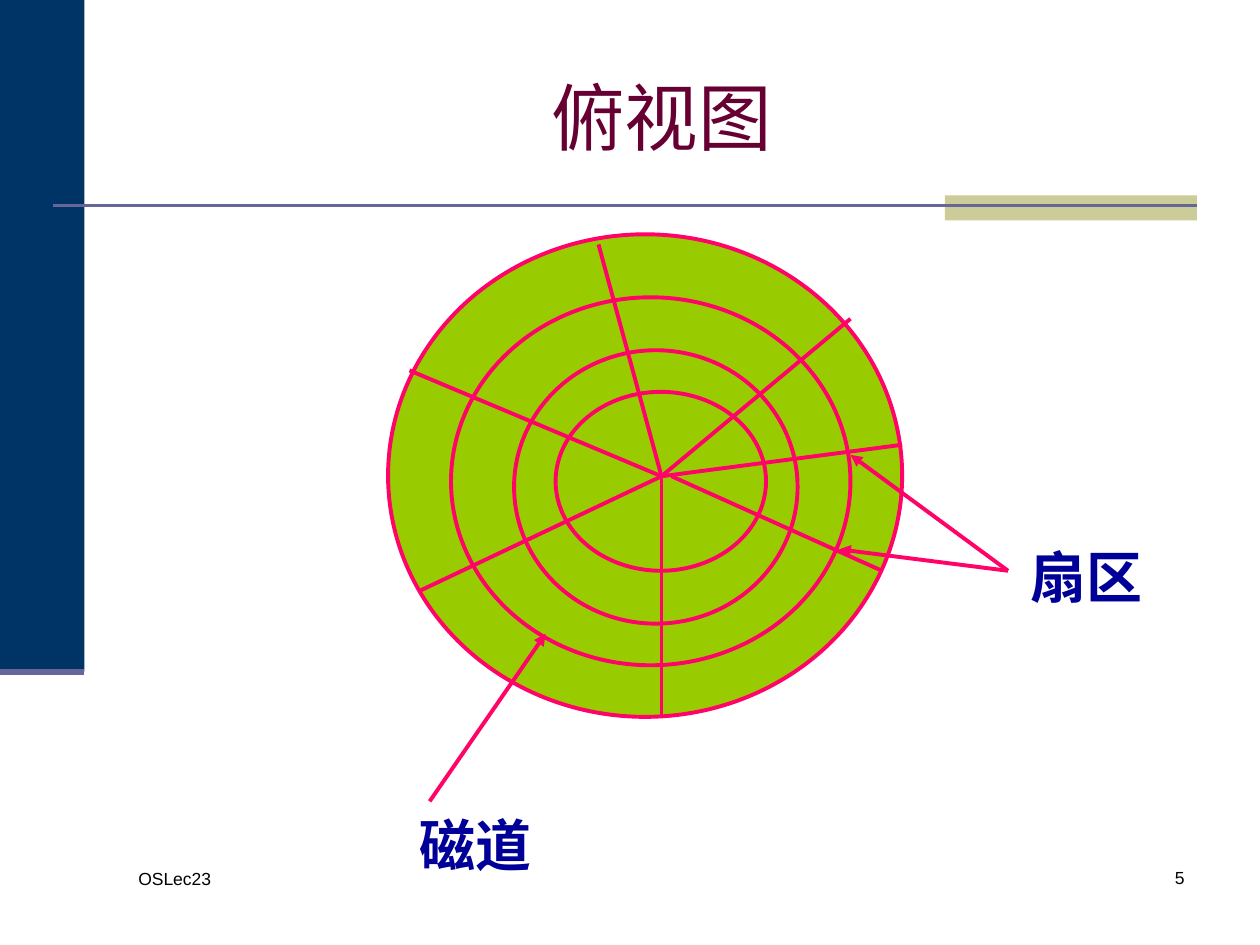
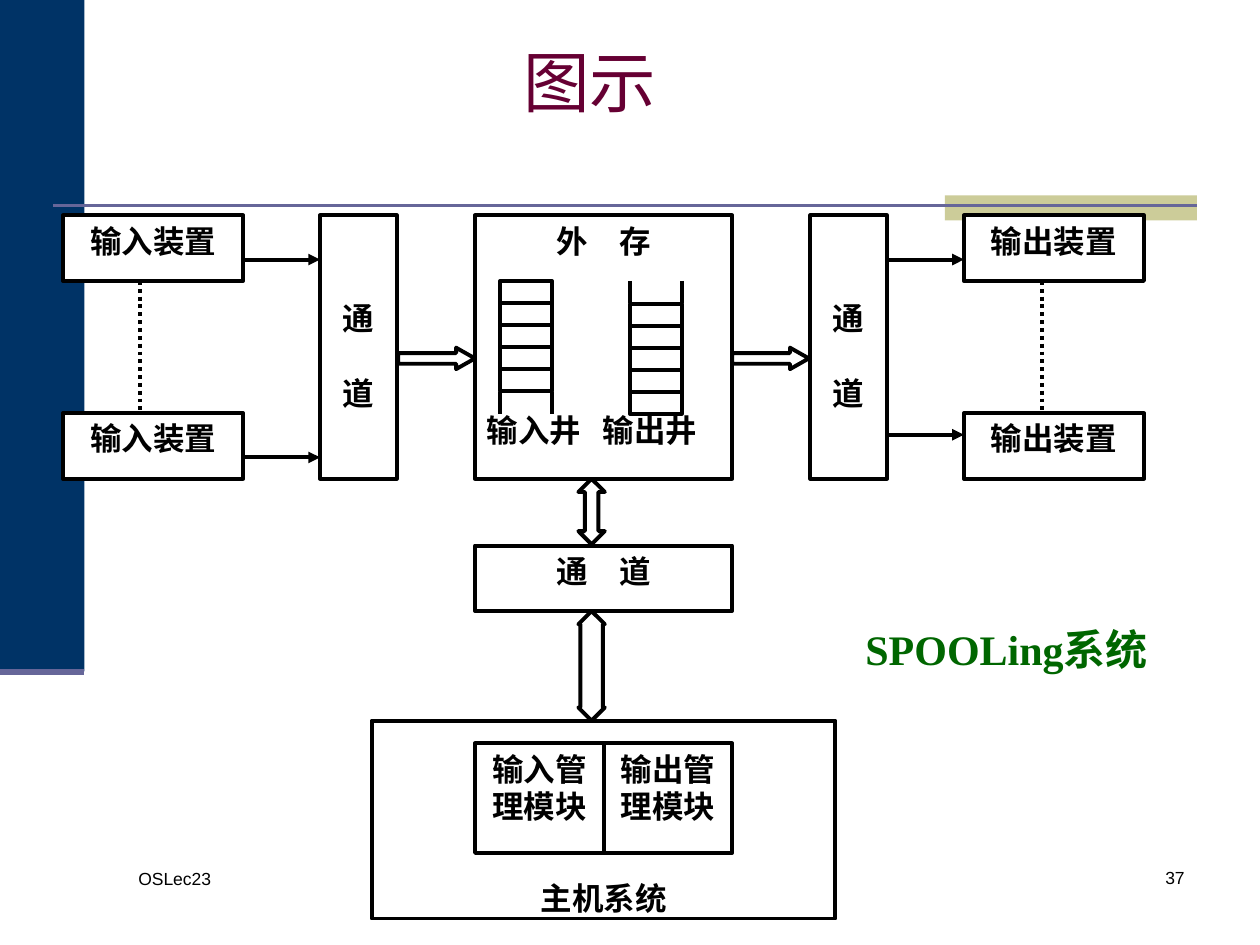
from lxml import etree
from pptx import Presentation
from pptx import util as u
from pptx.dml.color import RGBColor
from pptx.enum import dml, shapes, text
from pptx.oxml import ns

NAVY = RGBColor(0x00, 0x33, 0x66)
KHAKI = RGBColor(0xCC, 0xCC, 0x99)
SLATE = RGBColor(0x66, 0x66, 0x99)
WINE = RGBColor(0x66, 0x00, 0x33)
LIME = RGBColor(0x99, 0xCC, 0x00)
PINK = RGBColor(0xFF, 0x03, 0x69)
BLUE = RGBColor(0x00, 0x00, 0x99)
GREEN = RGBColor(0x00, 0x66, 0x00)
BLACK = RGBColor(0x00, 0x00, 0x00)
WHITE = RGBColor(0xFF, 0xFF, 0xFF)

SANS, SERIF = "Arial", "Times New Roman"
STROKE = 2.25
LEFT, CENTER, RIGHT = text.PP_ALIGN.LEFT, text.PP_ALIGN.CENTER, text.PP_ALIGN.RIGHT
TOP, MIDDLE, BOTTOM = text.MSO_ANCHOR.TOP, text.MSO_ANCHOR.MIDDLE, text.MSO_ANCHOR.BOTTOM
RECT, OVAL = shapes.MSO_SHAPE.RECTANGLE, shapes.MSO_SHAPE.OVAL


class Deck:
    """Holds the presentation, its style and the slide being drawn."""

    def __init__(self):
        self.prs = Presentation()
        self.prs.slide_width, self.prs.slide_height = u.Inches(10), u.Inches(7.5)
        self.slide = None

    def new_slide(self, number):
        """Start a slide with the side band, title rule and footers."""
        self.slide = self.prs.slides.add_slide(self.prs.slide_layouts[6])
        self.shape(RECT, (0, 0, 0.67, 5.33), NAVY)
        self.shape(RECT, (7.5, 1.55, 2, 0.2), KHAKI)
        self.line((0.42, 1.63), (9.5, 1.63), SLATE, 1.5)
        self.line((0, 5.33), (0.67, 5.33), SLATE, 3.5)
        self.label("OSLec23", (1, 6.84, 2.17, 0.5), 10, BLACK, font=SANS)
        self.label(str(number), (7.42, 6.83, 2.08, 0.5), 10, BLACK, font=SANS, align=RIGHT)

    def title(self, words, at, size, anchor):
        self.label(words, at, size, WINE, font=SANS, align=CENTER, anchor=anchor)

    def fill_text(self, frame, words, size, color, font=SERIF, bold=False,
                  align=LEFT, anchor=TOP, gap=0):
        """Fill a text frame, one paragraph per line, with gap points between."""
        frame.vertical_anchor = anchor
        for index, words_in_line in enumerate(words.split("\n")):
            para = frame.add_paragraph() if index else frame.paragraphs[0]
            para.alignment = align
            if index and gap:
                para.space_before = u.Pt(gap)
            run = para.add_run()
            run.text = words_in_line
            run.font.size, run.font.name, run.font.bold = u.Pt(size), font, bold
            run.font.color.rgb = color

    def label(self, words, at, size, color, wrap=True, **style):
        box = self.slide.shapes.add_textbox(*map(u.Inches, at))
        box.text_frame.word_wrap = wrap
        self.fill_text(box.text_frame, words, size, color, **style)

    def shape(self, kind, at, fill=None, outline=None, adjust=()):
        part = self.slide.shapes.add_shape(kind, *map(u.Inches, at))
        part.shadow.inherit = False
        for index, value in enumerate(adjust):
            part.adjustments[index] = value
        if fill is None:
            part.fill.background()
        else:
            part.fill.solid()
            part.fill.fore_color.rgb = fill
        if outline is None:
            part.line.fill.background()
        else:
            part.line.color.rgb = outline
            part.line.width = u.Pt(STROKE)
        return part

    def block(self, words, at, fill=WHITE, anchor=TOP, gap=0, top=0.05, bottom=0.05):
        """Black-edged box with bold centred text."""
        frame = self.shape(RECT, at, fill, BLACK).text_frame
        frame.word_wrap = True
        frame.margin_top, frame.margin_bottom = u.Inches(top), u.Inches(bottom)
        self.fill_text(frame, words, 18, BLACK, bold=True, align=CENTER,
                       anchor=anchor, gap=gap)

    def line(self, start, end, color=BLACK, width=STROKE, arrow=False, dash=None):
        link = self.slide.shapes.add_connector(
            shapes.MSO_CONNECTOR.STRAIGHT, *map(u.Inches, (*start, *end)))
        link.line.color.rgb = color
        link.line.width = u.Pt(width)
        if dash:
            link.line.dash_style = dash
        props = link._element.spPr
        if arrow:
            etree.SubElement(props.find(ns.qn("a:ln")), ns.qn("a:tailEnd"), type="triangle")
        etree.SubElement(props, ns.qn("a:effectLst"))

    def well(self, left, body_top, legs_top):
        """Queue of five cells with two open legs on one side."""
        width, cell = 0.41, 0.175
        right = left + width
        self.shape(RECT, (left, body_top, width, 5 * cell), WHITE, BLACK)
        for row in range(1, 5):
            y = body_top + row * cell
            self.line((left, y), (right, y))
        for x in (left, right):
            self.line((x, legs_top), (x, legs_top + cell))


def disk_top_view(deck):
    deck.new_slide(5)
    deck.title("俯视图", (1, 0.3, 8.5, 1.25), 42, MIDDLE)

    tracks = [(3.08, 1.86, 4.08, 3.83), (3.58, 2.36, 3.17, 2.92),
              (4.08, 2.78, 2.25, 2.17), (4.41, 3.11, 1.67, 1.42)]
    for track in tracks:
        deck.shape(OVAL, track, LIME, PINK)

    hub = (5.25, 3.78)
    for rim in [(6.75, 2.53), (5.25, 5.69), (3.33, 4.69),
                (4.75, 1.94), (3.25, 2.94), (7.16, 3.53)]:
        deck.line(hub, rim, PINK)
    deck.line((5.33, 3.78), (7, 4.53), PINK)

    sector_origin = (8, 4.53)
    for start, target in [((3.41, 6.36), (4.33, 5.03)),
                          (sector_origin, (6.75, 3.61)),
                          (sector_origin, (6.66, 4.36))]:
        deck.line(start, target, PINK, arrow=True)
    for words, left, top in [("磁道", 3.23, 6.38), ("扇区", 8.08, 4.25)]:
        deck.label(words, (left, top, 1.09, 0.64), 32, BLUE,
                   wrap=False, bold=True, anchor=MIDDLE)


def spooling_diagram(deck):
    deck.new_slide(37)
    top, lower, height = 1.71, 3.28, 0.52
    dots = dml.MSO_LINE.ROUND_DOT

    for words, left, dots_x in [("输入装置", 0.5, 1.11), ("输出装置", 7.65, 8.27)]:
        for y in (top, lower):
            deck.block(words, (left, y, 1.43, height))
        deck.line((dots_x, top + height), (dots_x, lower), dash=dots)
    for left in (2.54, 6.43):
        deck.block("通\n道", (left, top, 0.61, 2.09), anchor=MIDDLE, gap=21.5, top=0.18)
    for start, end, levels in [(1.93, 2.54, (2.06, 3.63)), (7.04, 7.65, (2.06, 3.45))]:
        for y in levels:
            deck.line((start, y), (end, y), arrow=True)

    deck.well(3.97, 2.23, 3.11)
    deck.well(5, 2.41, 2.23)
    for left in (3.16, 5.81):
        deck.shape(shapes.MSO_SHAPE.RIGHT_ARROW, (left, 2.76, 0.61, 0.17),
                   WHITE, BLACK, (0.5, 0.88))
    deck.block("外　存", (3.77, top, 2.04, 2.09), fill=None)
    for words, left in [("输入井", 3.74), ("输出井", 4.66)]:
        deck.label(words, (left, 3.21, 1, 0.4), 18, BLACK, bold=True, align=CENTER)

    deck.block("通　道", (3.77, 4.33, 2.04, height))
    deck.block("主机系统", (2.95, 5.72, 3.68, 1.57), anchor=BOTTOM, bottom=0.01)
    for words, left in [("输入管\n理模块", 3.77), ("输出管\n理模块", 4.79)]:
        deck.block(words, (left, 5.9, 1.02, 0.87))
    for y, length, head in [(3.8, 0.52, 0.51), (4.85, 0.87, 0.85)]:
        deck.shape(shapes.MSO_SHAPE.UP_DOWN_ARROW, (4.59, y, 0.21, length),
                   WHITE, BLACK, (0.5, head))

    deck.label("SPOOLing系统", (6.77, 4.9, 2.52, 0.5), 24, GREEN, wrap=False, bold=True)
    deck.title("图示", (0.42, 0.25, 8.52, 0.76), 38, BOTTOM)


def main():
    deck = Deck()
    disk_top_view(deck)
    spooling_diagram(deck)
    deck.prs.save("out.pptx")


if __name__ == "__main__":
    main()
